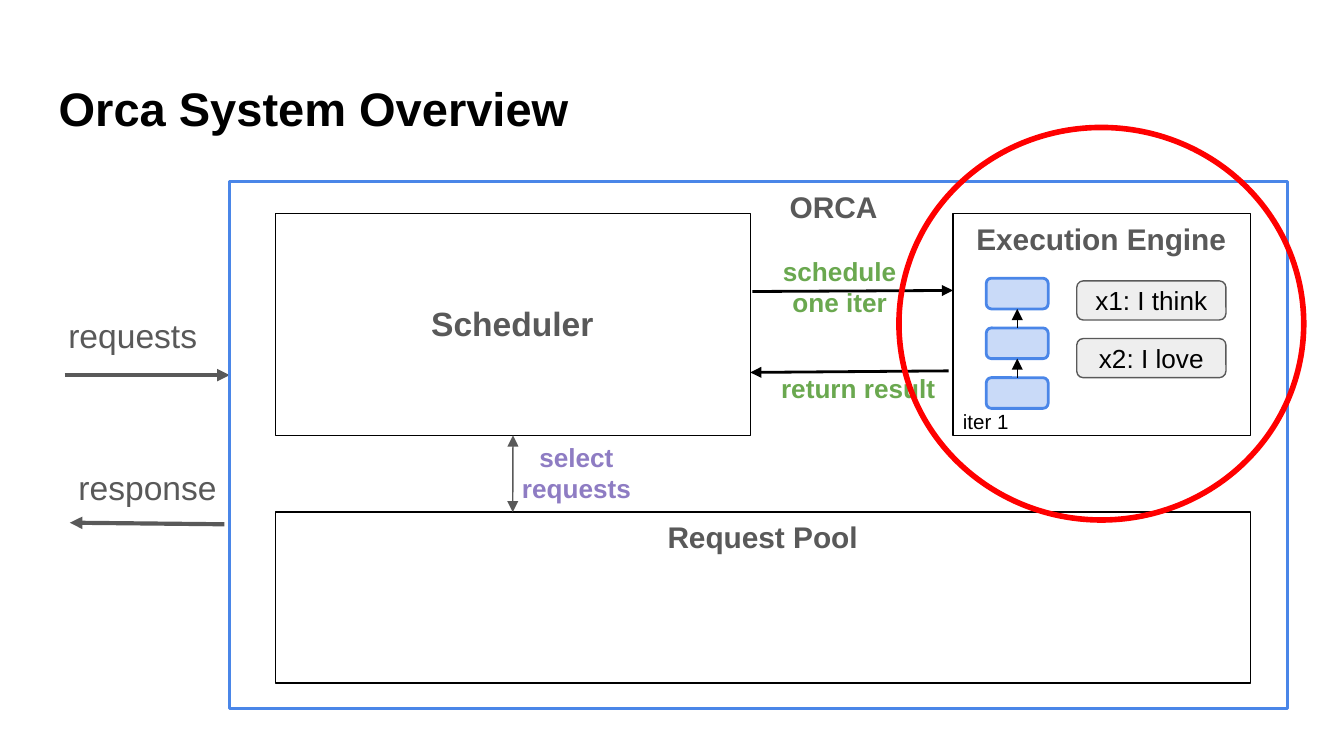
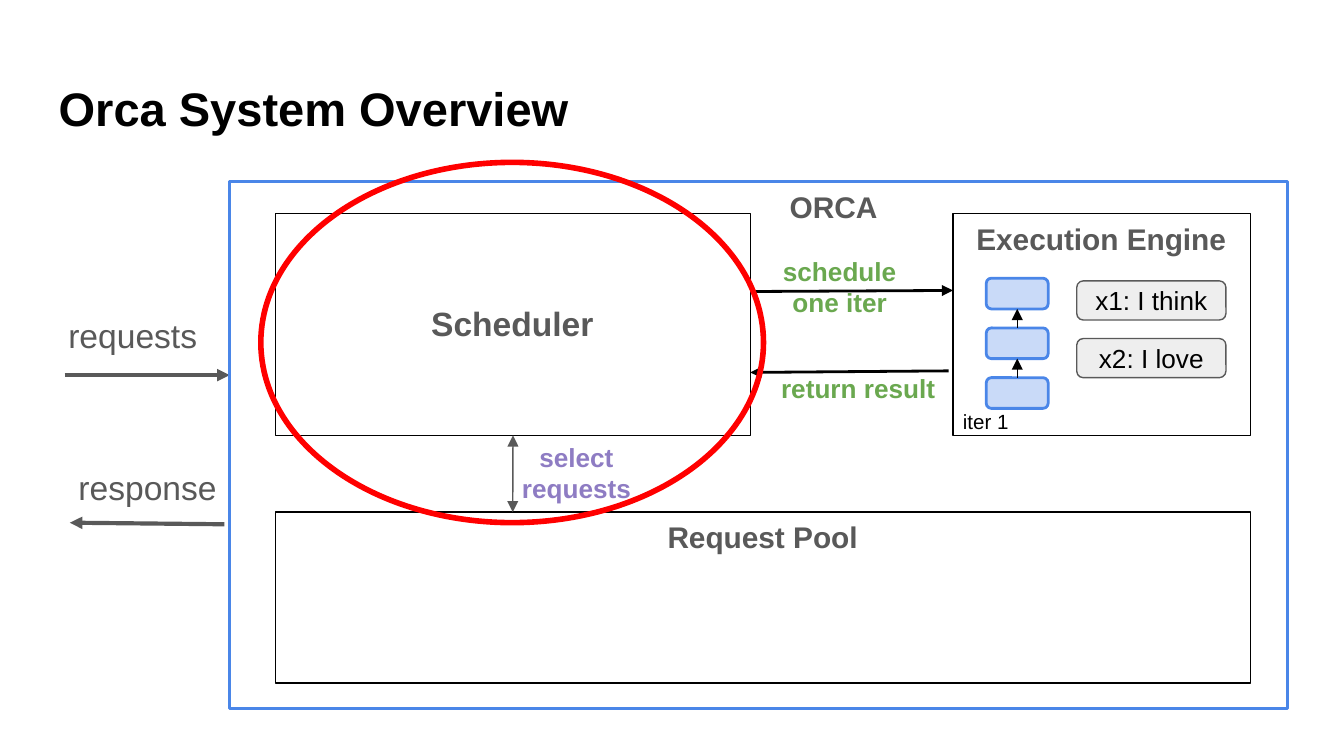
from dataclasses import dataclass

from lxml.etree import SubElement
from pptx import Presentation
from pptx.dml.color import RGBColor
from pptx.enum.shapes import MSO_CONNECTOR, MSO_SHAPE
from pptx.enum.text import MSO_ANCHOR, PP_ALIGN
from pptx.oxml.ns import qn
from pptx.util import Cm, Pt


@dataclass(frozen=True)
class Theme:
    font: str = "Arial"
    black: str = "000000"
    white: str = "FFFFFF"
    gray: str = "595959"
    light_gray: str = "EEEEEE"
    blue: str = "4A86E8"
    light_blue: str = "C9DAF8"
    green: str = "6AA84F"
    purple: str = "8E7CC3"
    red: str = "FF0000"
    title: float = 25.2
    large: float = 18
    heading: float = 16
    body: float = 14
    small: float = 11
    thin: float = 0.75
    medium: float = 1.5
    thick: float = 2.25
    marker: float = 3


theme = Theme()


def add_box(shapes, at, preset=None, fill=None, line=None, width=theme.thin, text="",
            size=theme.body, color=theme.black, bold=False, align=PP_ALIGN.CENTER):
    """Add a preset shape, or a plain text box when no preset is given; at is in cm."""
    place = [Cm(length) for length in at]
    if preset is None:
        box = shapes.add_textbox(*place)
    else:
        box = shapes.add_shape(preset, *place)
        box.shadow.inherit = False
        if fill:
            box.fill.solid()
            box.fill.fore_color.rgb = RGBColor.from_string(fill)
        else:
            box.fill.background()
        box.line.color.rgb = RGBColor.from_string(line)
        box.line.width = Pt(width)
    if text:
        frame = box.text_frame
        frame.word_wrap = True
        frame.vertical_anchor = MSO_ANCHOR.MIDDLE
        frame.margin_left = frame.margin_right = Cm(0.25)
        frame.margin_top = frame.margin_bottom = Cm(0.25)
        paragraph = frame.paragraphs[0]
        paragraph.alignment = align
        run = paragraph.add_run()
        run.text = text
        run.font.name = theme.font
        run.font.size = Pt(size)
        run.font.bold = bold
        run.font.color.rgb = RGBColor.from_string(color)
    return box


def add_arrow(shapes, start, end, color, width, both_ends=False):
    """Add an arrow between two points in cm."""
    arrow = shapes.add_connector(MSO_CONNECTOR.STRAIGHT, *[Cm(n) for n in (*start, *end)])
    arrow.line.color.rgb = RGBColor.from_string(color)
    arrow.line.width = Pt(width)
    outline = arrow.line._get_or_add_ln()
    if both_ends:
        SubElement(outline, qn("a:headEnd"), type="triangle")
    SubElement(outline, qn("a:tailEnd"), type="triangle")
    SubElement(arrow._element.spPr, qn("a:effectLst"))
    return arrow


prs = Presentation()
prs.slide_width, prs.slide_height = Cm(25.4), Cm(14.29)

engine_highlight = (16.99, 2.41, 7.65, 7.42)
scheduler_highlight = (4.93, 3.07, 9.5, 6.81)

for highlight in (engine_highlight, scheduler_highlight):
    shapes = prs.slides.add_slide(prs.slide_layouts[6]).shapes
    add_box(shapes, (0.86, 1.24, 23.67, 1.6), text="Orca System Overview",
            size=theme.title, bold=True, align=PP_ALIGN.LEFT)

    # Traffic in and out of the system
    add_arrow(shapes, (1.22, 7.09), (4.34, 7.09), theme.gray, theme.thick)
    add_arrow(shapes, (4.24, 9.91), (1.32, 9.88), theme.gray, theme.thick)
    for left, top, traffic in ((0.86, 5.87, "requests"), (1.14, 8.74, "response")):
        add_box(shapes, (left, top, 3.3, 0.94), text=traffic,
                size=theme.large, color=theme.gray)

    # System and its components
    add_box(shapes, (4.34, 3.43, 19.99, 9.96), MSO_SHAPE.RECTANGLE,
            theme.white, theme.blue, theme.medium)
    scheduler, pool, engine = [
        add_box(shapes, at, MSO_SHAPE.RECTANGLE, theme.white, theme.black)
        for at in ((5.21, 4.04, 8.97, 4.19), (5.21, 9.68, 18.42, 3.23),
                   (18.01, 4.04, 5.62, 4.19))
    ]
    for left, top, component, size in (
        (17.4, 4.04, "Execution Engine", theme.heading),
        (6.27, 5.64, "Scheduler", theme.large),
        (11, 9.68, "Request Pool", theme.heading),
        (12.34, 3.43, "ORCA", theme.heading),
    ):
        add_box(shapes, (left, top, 6.83, 0.94), text=component,
                size=size, color=theme.gray, bold=True)

    # Exchanges between components
    add_arrow(shapes, (14.22, 5.51), (18.01, 5.49), theme.black, theme.medium)
    add_arrow(shapes, (17.93, 7.01), (14.18, 7.04), theme.black, theme.medium)
    selection = add_arrow(shapes, (9.69, 8.23), (9.69, 9.68), theme.gray, theme.thin,
                          both_ends=True)
    selection.begin_connect(scheduler, 2)
    for at, exchange, color in (
        ((14.22, 4.95, 3.3, 0.94), "schedule one iter", theme.green),
        ((14.33, 6.86, 3.78, 0.94), "return result", theme.green),
        ((9.09, 8.2, 3.61, 1.47), "select requests", theme.purple),
    ):
        add_box(shapes, at, text=exchange, color=color, bold=True)

    # Requests and model layers inside the engine
    for row, request in enumerate(("x1: I think", "x2: I love")):
        add_box(shapes, (20.35, 5.31 + row * 1.09, 2.82, 0.74),
                MSO_SHAPE.ROUNDED_RECTANGLE, theme.light_gray, theme.gray, text=request)

    model = shapes.add_group_shape().shapes
    layers = [
        add_box(model, (18.64, 7.14 - level * 0.94, 1.17, 0.58),
                MSO_SHAPE.ROUNDED_RECTANGLE, theme.light_blue, theme.blue, theme.medium)
        for level in range(3)
    ]
    for level, (lower, upper) in enumerate(zip(layers, layers[1:])):
        top = 7.14 - level * 0.94
        step = add_arrow(model, (19.22, top), (19.22, top - 0.36), theme.black, theme.thin)
        step.begin_connect(lower, 0)
        step.end_connect(upper, 2)
    add_box(shapes, (17.93, 7.72, 1.4, 0.48), text="iter 1", size=theme.small)

    add_box(shapes, highlight, MSO_SHAPE.OVAL, line=theme.red, width=theme.marker)

prs.save("out.pptx")
